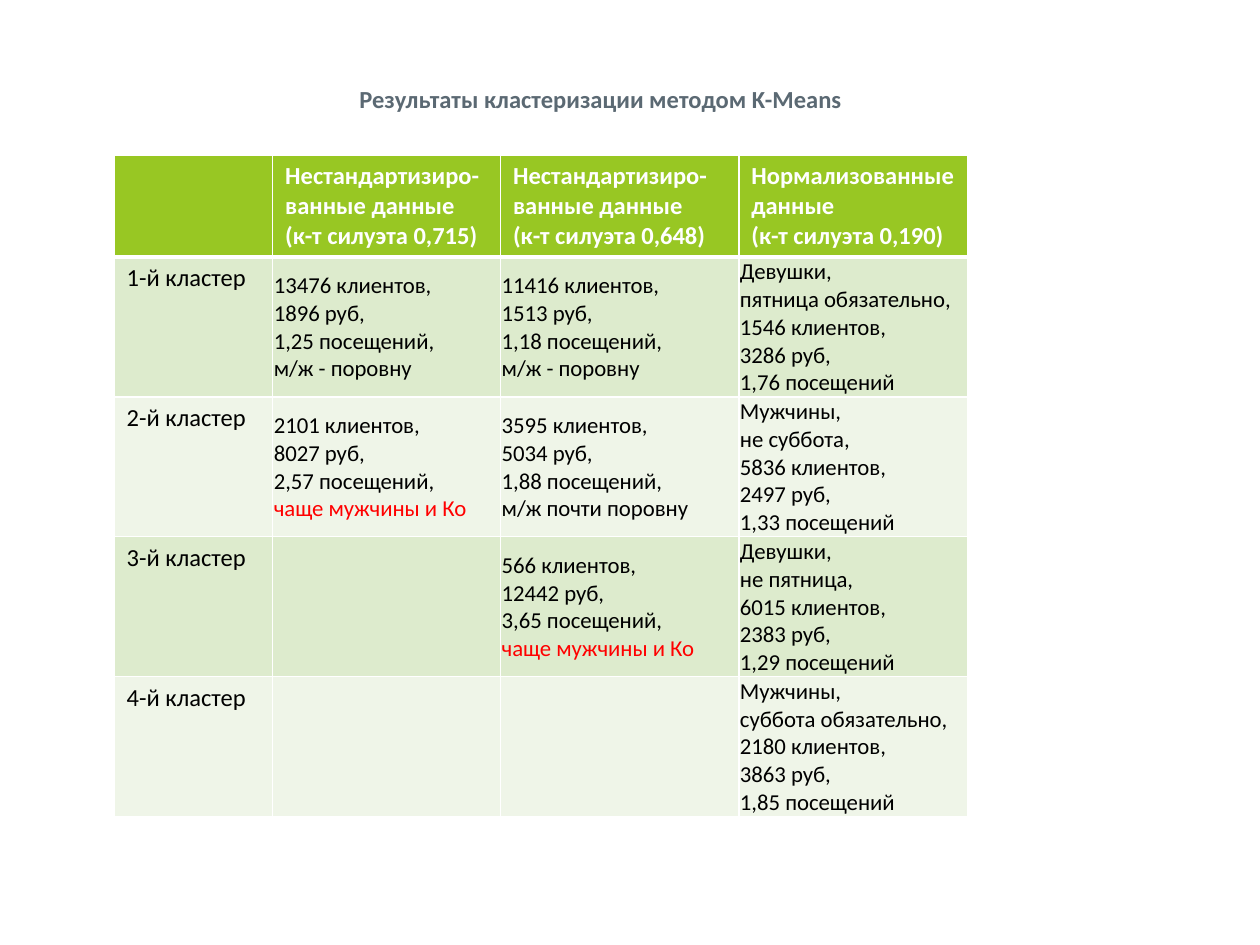
from dataclasses import dataclass

from lxml import etree
from pptx import Presentation
from pptx.dml.color import RGBColor
from pptx.enum.text import MSO_ANCHOR, PP_ALIGN
from pptx.oxml.ns import qn
from pptx.util import Pt

MIDDLE = MSO_ANCHOR.MIDDLE
TOP = MSO_ANCHOR.TOP
CENTER = PP_ALIGN.CENTER

WHITE = RGBColor(0xFF, 0xFF, 0xFF)
BLACK = RGBColor(0x00, 0x00, 0x00)
RED = RGBColor(0xFF, 0x00, 0x00)
SLATE = RGBColor(0x5B, 0x69, 0x73)
GREEN = RGBColor(0x98, 0xC7, 0x23)
BANDS = (RGBColor(0xDD, 0xEB, 0xCD), RGBColor(0xEF, 0xF5, 0xE8))

FONT = "Calibri"
LEFT = 65.2
TITLE_ONLY = 5
COLUMN_WIDTHS = (90.6, 130.2, 136.2, 131)
HEADER_HEIGHT, ROW_HEIGHT = 51, 72
HIGHLIGHT = "чаще мужчины и Ко"


@dataclass(frozen=True)
class CellStyle:
    size: float
    color: RGBColor
    bold: bool = False
    anchor: MSO_ANCHOR = TOP
    tight: bool = False


HEADER_STYLE = CellStyle(14, WHITE, bold=True)
LABEL_STYLE = CellStyle(14, BLACK)
DATA_STYLE = CellStyle(13, BLACK, anchor=MIDDLE, tight=True)

HEADERS = (
    "",
    "Нестандартизиро-ванные данные\n(к-т силуэта 0,715)",
    "Нестандартизиро-ванные данные\n(к-т силуэта 0,648)",
    "Нормализованные данные\n(к-т силуэта 0,190)",
)
CLUSTERS = (
    ("1-й кластер",
     "13476 клиентов,\n1896 руб,\n1,25 посещений,\nм/ж - поровну",
     "11416 клиентов,\n1513 руб,\n1,18 посещений,\nм/ж - поровну",
     "Девушки,\nпятница обязательно,\n1546 клиентов,\n3286 руб,\n1,76 посещений"),
    ("2-й кластер",
     f"2101 клиентов,\n8027 руб,\n2,57 посещений,\n{HIGHLIGHT}",
     "3595 клиентов,\n5034 руб,\n1,88 посещений,\nм/ж почти поровну",
     "Мужчины,\nне суббота,\n5836 клиентов,\n2497 руб,\n1,33 посещений"),
    ("3-й кластер",
     "",
     f"566 клиентов,\n12442 руб,\n3,65 посещений,\n{HIGHLIGHT}",
     "Девушки,\nне пятница,\n6015 клиентов,\n2383 руб,\n1,29 посещений"),
    ("4-й кластер",
     "",
     "",
     "Мужчины,\nсуббота обязательно,\n2180 клиентов,\n3863 руб,\n1,85 посещений"),
)


def format_font(font, size: float, color: RGBColor, bold: bool) -> None:
    font.name = FONT
    font.size = Pt(size)
    font.bold = bold
    font.color.rgb = color


def set_borders(cell, top: float, bottom: float) -> None:
    properties = cell._tc.get_or_add_tcPr()
    for side, width in (("L", 1), ("R", 1), ("T", top), ("B", bottom)):
        line = etree.SubElement(properties, qn(f"a:ln{side}"), w=str(Pt(width)))
        fill = etree.SubElement(line, qn("a:solidFill"))
        etree.SubElement(fill, qn("a:srgbClr"), val=str(WHITE))


def fill_cell(cell, text: str, style: CellStyle, background: RGBColor) -> None:
    cell.fill.solid()
    cell.fill.fore_color.rgb = background
    if not text:
        return
    cell.text_frame.text = text
    cell.vertical_anchor = style.anchor
    if style.tight:
        cell.margin_left = cell.margin_right = cell.margin_top = Pt(0.7)
        cell.margin_bottom = Pt(0)
    else:
        # Leaves the longest header word room on one line
        cell.margin_right = Pt(6)
    for paragraph in cell.text_frame.paragraphs:
        for run in paragraph.runs:
            color = RED if run.text == HIGHLIGHT else style.color
            format_font(run.font, style.size, color, style.bold)


def add_title(slide, text: str) -> None:
    title = slide.shapes.title
    title.left, title.top = Pt(LEFT), Pt(36)
    title.width, title.height = Pt(556), Pt(41)
    title.text_frame.text = text
    title.text_frame.vertical_anchor = MIDDLE
    paragraph = title.text_frame.paragraphs[0]
    paragraph.alignment = CENTER
    format_font(paragraph.runs[0].font, 14, SLATE, True)


def add_cluster_table(slide) -> None:
    rows = (HEADERS, *CLUSTERS)
    height = HEADER_HEIGHT + ROW_HEIGHT * len(CLUSTERS)
    table = slide.shapes.add_table(
        len(rows), len(HEADERS), Pt(LEFT), Pt(88.5),
        Pt(sum(COLUMN_WIDTHS)), Pt(height)).table
    for column, width in zip(table.columns, COLUMN_WIDTHS):
        column.width = Pt(width)
    for i, texts in enumerate(rows):
        table.rows[i].height = Pt(ROW_HEIGHT if i else HEADER_HEIGHT)
        background = BANDS[(i - 1) % 2] if i else GREEN
        for j, text in enumerate(texts):
            if i == 0:
                style = HEADER_STYLE
            else:
                style = DATA_STYLE if j else LABEL_STYLE
            cell = table.cell(i, j)
            # The rule under the header is thicker than the others
            set_borders(cell, top=3 if i == 1 else 1, bottom=3 if i == 0 else 1)
            fill_cell(cell, text, style, background)


def main() -> None:
    presentation = Presentation()
    presentation.slide_width, presentation.slide_height = Pt(720), Pt(540)
    slide = presentation.slides.add_slide(presentation.slide_layouts[TITLE_ONLY])
    add_title(slide, "Результаты кластеризации методом K-Means")
    add_cluster_table(slide)
    presentation.save("out.pptx")


if __name__ == "__main__":
    main()
